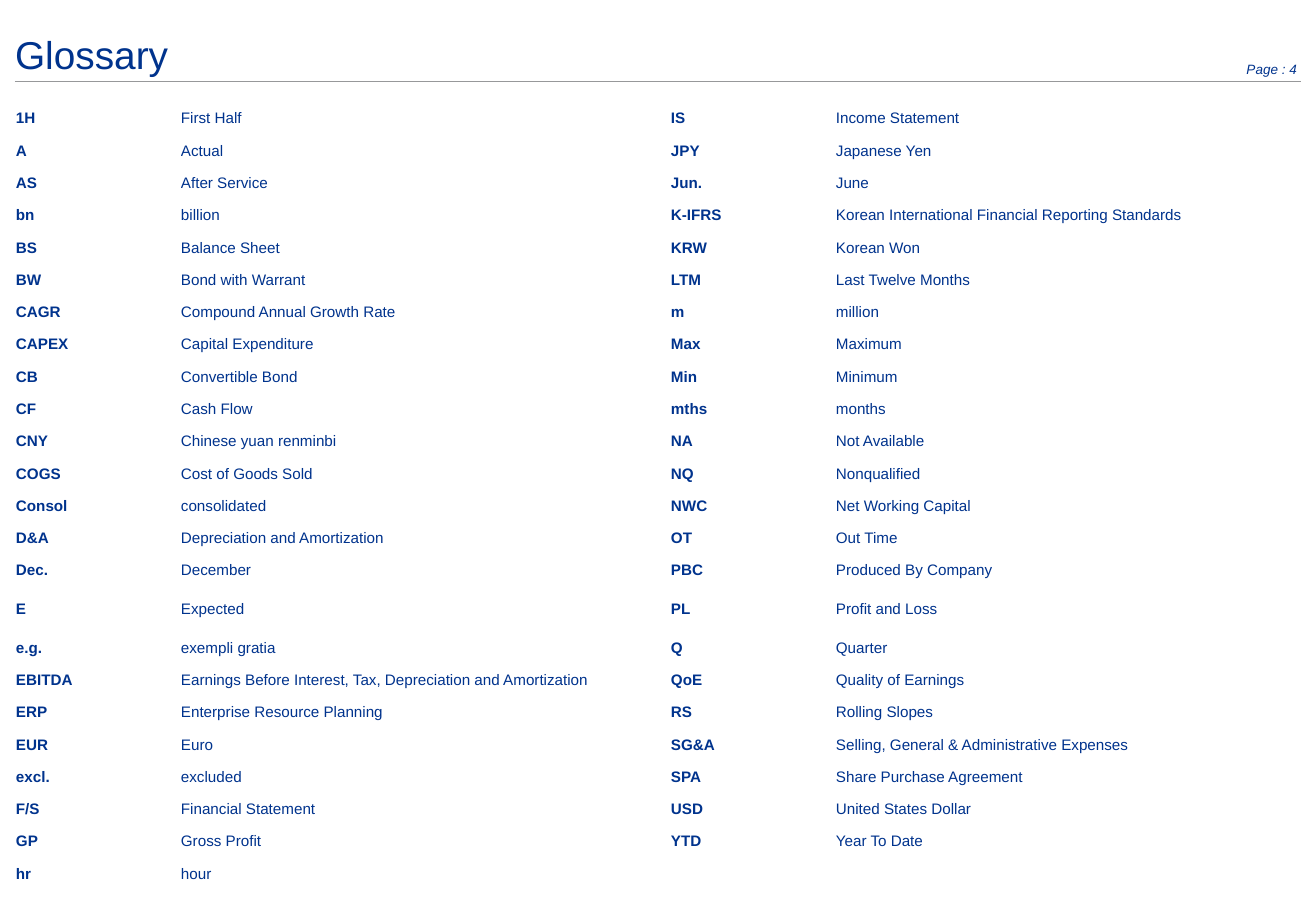
from pptx import Presentation, util as u
from pptx.dml.color import RGBColor
from pptx.enum import shapes, text
from lxml import etree

PX = 7526
HUES = {"navy": "00338D", "grey": "97989A"}
TALL = 15
LEFT = [
    ("1H", "First Half"),
    ("A", "Actual"),
    ("AS", "After Service"),
    ("bn", "billion"),
    ("BS", "Balance Sheet"),
    ("BW", "Bond with Warrant"),
    ("CAGR", "Compound Annual Growth Rate"),
    ("CAPEX", "Capital Expenditure"),
    ("CB", "Convertible Bond"),
    ("CF", "Cash Flow"),
    ("CNY", "Chinese yuan renminbi"),
    ("COGS", "Cost of Goods Sold"),
    ("Consol", "consolidated"),
    ("D&A", "Depreciation and Amortization"),
    ("Dec.", "December"),
    ("E", "Expected"),
    ("e.g.", "exempli gratia"),
    ("EBITDA", "Earnings Before Interest, Tax, Depreciation and Amortization"),
    ("ERP", "Enterprise Resource Planning"),
    ("EUR", "Euro"),
    ("excl.", "excluded"),
    ("F/S", "Financial Statement"),
    ("GP", "Gross Profit"),
    ("hr", "hour"),
]
RIGHT = [
    ("IS", "Income Statement"),
    ("JPY", "Japanese Yen"),
    ("Jun.", "June"),
    ("K-IFRS", "Korean International Financial Reporting Standards"),
    ("KRW", "Korean Won"),
    ("LTM", "Last Twelve Months"),
    ("m", "million"),
    ("Max", "Maximum"),
    ("Min", "Minimum"),
    ("mths", "months"),
    ("NA", "Not Available"),
    ("NQ", "Nonqualified"),
    ("NWC", "Net Working Capital"),
    ("OT", "Out Time"),
    ("PBC", "Produced By Company"),
    ("PL", "Profit and Loss"),
    ("Q", "Quarter"),
    ("QoE", "Quality of Earnings"),
    ("RS", "Rolling Slopes"),
    ("SG&A", "Selling, General & Administrative Expenses"),
    ("SPA", "Share Purchase Agreement"),
    ("USD", "United States Dollar"),
    ("YTD", "Year To Date"),
    ("", ""),
]


def px(*nums):
    """Turn px lengths into EMU."""
    return [u.Emu(round(n * PX)) for n in nums]


def write(frame, words, size=9, bold=False, italic=False, align=text.PP_ALIGN.LEFT):
    """Write one formatted line into a text frame."""
    para = frame.paragraphs[0]
    para.alignment = align
    run = para.add_run()
    run.text = words
    font = run.font
    font.name, font.size, font.bold, font.italic = "Arial", u.Pt(size), bold, italic
    font.color.rgb = RGBColor.from_string(HUES["navy"])


def label(slide, box, words, anchor, **form):
    """Place a text box without margins."""
    frame = slide.shapes.add_textbox(*px(*box)).text_frame
    frame.word_wrap = True
    frame.margin_left = frame.margin_right = frame.margin_top = frame.margin_bottom = 0
    frame.vertical_anchor = anchor
    write(frame, words, **form)


def header(slide, x, y, w, h):
    """Draw the title, the page number and the rule below them."""
    label(slide, (x, y, 1207, h - 4), "Glossary", text.MSO_ANCHOR.BOTTOM, size=23)
    label(slide, (x + w - 102, y + h - 20, 98, 15), "Page : 4", text.MSO_ANCHOR.TOP,
          size=8, italic=True, align=text.PP_ALIGN.RIGHT)
    rule = slide.shapes.add_connector(shapes.MSO_CONNECTOR.STRAIGHT,
                                      *px(x, y + h, x + w, y + h))
    rule.line.color.rgb = RGBColor.from_string(HUES["grey"])
    rule.line.width = u.Pt(0.5)
    props = rule.line._get_or_add_ln().getparent()
    etree.SubElement(props, "{http://schemas.openxmlformats.org/drawingml/2006/main}effectLst")


def terms(slide, pairs, x, y, w, h):
    """Draw one table of terms, with even rows but for the tall one."""
    grid = slide.shapes.add_table(len(pairs), 2, *px(x, y, w, h)).table
    grid.first_row = grid.horz_banding = False
    grid.columns[0].width, grid.columns[1].width = px(165, w - 165)
    tall = 45
    even = (h - tall) / (len(pairs) - 1)
    for i, pair in enumerate(pairs):
        grid.rows[i].height = px(tall if i == TALL else even)[0]
        for j, words in enumerate(pair):
            cell = grid.cell(i, j)
            cell.fill.background()
            cell.margin_left = cell.margin_right = cell.margin_top = px(1)[0]
            cell.margin_bottom = 0
            cell.vertical_anchor = text.MSO_ANCHOR.MIDDLE
            write(cell.text_frame, words, bold=j == 0)


def main():
    """Build the glossary slide."""
    deck = Presentation()
    deck.slide_width, deck.slide_height = px(1316, 911)
    slide = deck.slides.add_slide(deck.slide_layouts[6])
    header(slide, 15, 0, 1286, 81)
    for pairs, x in ((LEFT, 15), (RIGHT, 670)):
        terms(slide, pairs, x, 102, 588, 788)
    deck.save("out.pptx")


if __name__ == "__main__":
    main()
